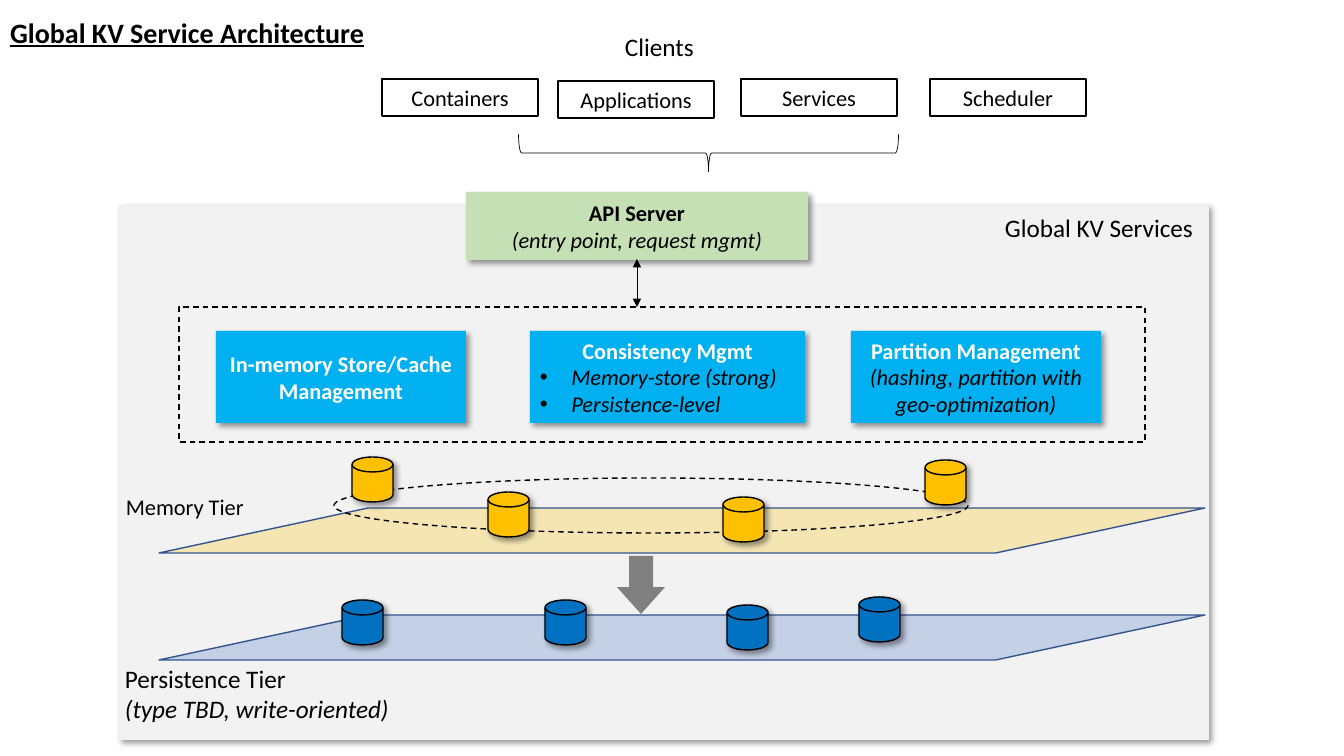
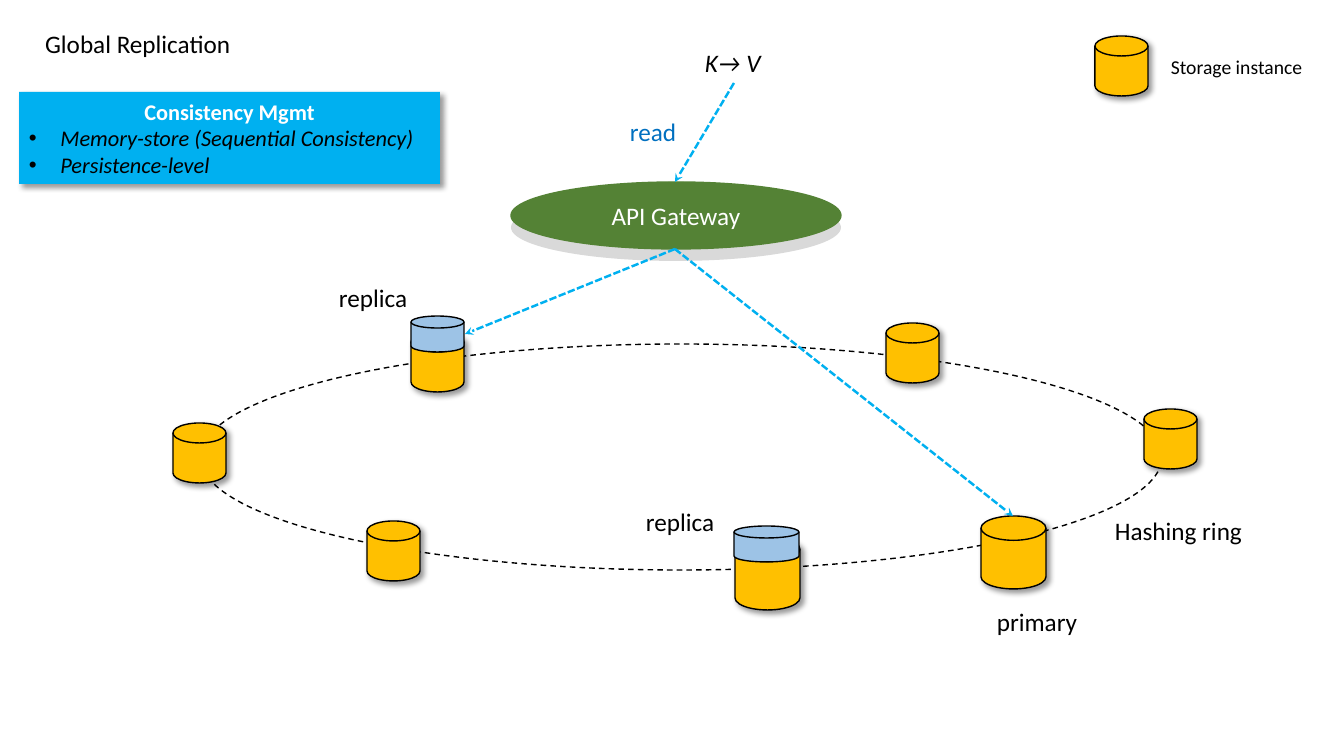
from pptx import Presentation
from pptx.dml.color import RGBColor as RGB
from pptx.enum.dml import MSO_LINE as Dash
from pptx.enum.shapes import MSO_CONNECTOR as Conn, MSO_SHAPE as Kind
from pptx.enum.text import MSO_ANCHOR as Anchor, MSO_AUTO_SIZE as Fit, PP_ALIGN as Align
from pptx.oxml.ns import qn
from pptx.util import Pt
from lxml.etree import SubElement as sub

# Shared look
UNIT = 914400 / 100.8
WIDE, HIGH = 1344, 756
FONT = "Calibri"
BLACK = RGB(0, 0, 0)
WHITE = RGB(255, 255, 255)
PALE = RGB(0xF2, 0xF2, 0xF2)
SILVER = RGB(0xD9, 0xD9, 0xD9)
GRAY = RGB(0x80, 0x80, 0x80)
MINT = RGB(0xC5, 0xE0, 0xB4)
GREEN = RGB(0x54, 0x82, 0x35)
SKY = RGB(0x00, 0xB0, 0xF0)
BLUE = RGB(0x00, 0x70, 0xC0)
LIGHT = RGB(0x9D, 0xC3, 0xE6)
GOLD = RGB(0xFF, 0xC0, 0x00)
ROYAL = RGB(0x44, 0x72, 0xC4)
NAVY = RGB(0x32, 0x54, 0x91)

# Text lines are (words, marks): b bold, i italic, u underlined, * bullet

# Architecture content
ARCH_TITLE = ("Global KV Service Architecture", "bu")
CLIENTS = [("Containers", 382, 79), ("Applications", 558, 81),
           ("Services", 741, 79), ("Scheduler", 930, 79)]
SERVER = [("API Server", "b"), ("(entry point, request mgmt)", "i")]
CARDS = [
    (216, 250, [("In-memory Store/Cache Management", "b")]),
    (530, 275, [("Consistency Mgmt", "b"), ("Memory-store (strong)", "i*"),
                ("Persistence-level", "i*")]),
    (851, 250, [("Partition Management", "b"),
                ("(hashing, partition with geo-optimization)", "i")]),
]
TIERS = [(615, ROYAL), (508, GOLD)]
MEMORY = [(352, 457), (488, 492), (925, 460), (723, 497)]
STORES = [(545, 600), (727, 605), (342, 600), (859, 597)]
ARCH_NOTES = [
    ((995, 207, 211, 40), [("Global KV Services", "")], 18),
    ((116, 488, 140, 37), [("Memory Tier", "")], 16),
    ((115, 658, 291, 72), [("Persistence Tier", ""),
                           ("(type TBD, write-oriented)", "i")], 18),
    ((615, 26, 96, 40), [("Clients", "")], 18),
]

# Replication content
REPL_TITLE = ("Global Replication", "")
POLICY = [("Consistency Mgmt", "b"),
          ("Memory-store (Sequential Consistency)", "i*"),
          ("Persistence-level", "i*")]
BIG, SMALL = (65, 73), (53, 60)
NODES = [(735, 537, BIG), (981, 516, BIG), (411, 332, SMALL),
         (886, 323, SMALL), (1095, 36, SMALL), (367, 521, SMALL),
         (173, 423, SMALL), (1144, 409, SMALL)]
COPIES = [(734, 526, 65, 36), (411, 316, 53, 36)]
GATE = (675, 249)
PATHS = [((734, 83), (675, 182)), (GATE, (1013, 516)), (GATE, (465, 334))]
REPL_NOTES = [
    ((1105, 510, 149, 40), "Hashing ring", "", 18, BLACK),
    ((695, 42, 79, 40), "K→ V", "i", 18, BLACK),
    ((620, 111, 68, 40), "read", "", 18, BLUE),
    ((1161, 50, 180, 40), "Storage instance", "", 14, BLACK),
    ((987, 601, 102, 40), "primary", "", 18, BLACK),
    ((636, 501, 90, 40), "replica", "", 18, BLACK),
    ((329, 277, 90, 40), "replica", "", 18, BLACK),
]


def px(*nums):
    return [round(n * UNIT) for n in nums]


def write(frame, lines, size, color=BLACK, head=None, align=Align.LEFT):
    """Fill a frame; bold lines take the head colour when one is given."""
    frame.text = "\n".join(words for words, _ in lines)
    for para, (_, marks) in zip(frame.paragraphs, lines):
        para.alignment = align
        if "*" in marks:
            para.alignment = Align.LEFT
            props = para._p.get_or_add_pPr()
            props.set("marL", "285750")
            props.set("indent", "-285750")
            sub(props, qn("a:buFont"), typeface="Arial")
            sub(props, qn("a:buChar"), char="•")
        for run in para.runs:
            font = run.font
            font.name, font.size = FONT, Pt(size)
            font.bold, font.italic = "b" in marks, "i" in marks
            font.underline = "u" in marks
            font.color.rgb = head if head and "b" in marks else color


def label(slide, box, lines, size, color=BLACK):
    frame = slide.shapes.add_textbox(*px(*box)).text_frame
    frame.word_wrap = False
    frame.auto_size = Fit.SHAPE_TO_FIT_TEXT
    write(frame, lines, size, color)


def start(deck, title, box, size):
    slide = deck.slides.add_slide(deck.slide_layouts[5])
    head = slide.shapes.title
    head.left, head.top, head.width, head.height = px(*box)
    frame = head.text_frame
    write(frame, [title], size)
    frame.vertical_anchor = Anchor.TOP
    frame.word_wrap = False
    frame.auto_size = Fit.SHAPE_TO_FIT_TEXT
    return slide


def draw(slide, kind, box, fill=None, line=None, width=1, dash=None, shade=False):
    shape = slide.shapes.add_shape(kind, *px(*box))
    shape.shadow.inherit = False
    if fill is None:
        shape.fill.background()
    else:
        shape.fill.solid()
        shape.fill.fore_color.rgb = fill
    if line is None:
        shape.line.fill.background()
    else:
        shape.line.color.rgb = line
        shape.line.width = Pt(width)
        if dash:
            shape.line.dash_style = dash
    if shade:
        effects = shape.element.spPr.find(qn("a:effectLst"))
        cast = sub(effects, qn("a:outerShdw"), blurRad="50800", dist="38100",
                   dir="2700000", algn="tl", rotWithShape="0")
        tint = sub(cast, qn("a:srgbClr"), val="000000")
        sub(tint, qn("a:alpha"), val="40000")
    return shape


def block(slide, box, lines, fill, color=BLACK, head=None, size=16,
          kind=Kind.RECTANGLE, **look):
    shape = draw(slide, kind, box, fill, **look)
    shape.text_frame.word_wrap = True
    shape.text_frame.vertical_anchor = Anchor.MIDDLE
    write(shape.text_frame, lines, size, color, head, Align.CENTER)


def disk(slide, box, fill, shade=True):
    draw(slide, Kind.FLOWCHART_MAGNETIC_DISK, box, fill, BLACK, shade=shade)


def arrow(slide, start, end, color, width, tail, head=None, dash=None):
    wire = slide.shapes.add_connector(Conn.STRAIGHT, *px(*start, *end))
    wire.line.color.rgb = color
    wire.line.width = Pt(width)
    if dash:
        wire.line.dash_style = dash
    props = wire.element.spPr
    edge = props.find(qn("a:ln"))
    if head:
        sub(edge, qn("a:headEnd"), type=head)
    sub(edge, qn("a:tailEnd"), type=tail)
    sub(props, qn("a:effectLst"))


deck = Presentation()
deck.slide_width, deck.slide_height = px(WIDE, HIGH)

# Architecture: clients and service panel
arch = start(deck, ARCH_TITLE, (0, 10, 378, 44), 20)
for name, x, y in CLIENTS:
    block(arch, (x, y, 156, 37), [(name, "")], WHITE, line=BLACK)
brace = draw(arch, Kind.RIGHT_BRACE, (690, -37, 37, 380), line=BLACK, width=0.5)
brace.rotation = 90
draw(arch, Kind.RECTANGLE, (119, 205, 1090, 535), PALE, shade=True)
block(arch, (466, 192, 342, 68), SERVER, MINT, shade=True)
for x, w, lines in CARDS:
    block(arch, (x, 331, w, 92), lines, SKY, head=WHITE, shade=True)

# Architecture: storage tiers
for y, fill in TIERS:
    plane = draw(arch, Kind.FLOWCHART_DATA, (159, y, 1046, 45), fill, NAVY)
    tint = plane.element.spPr.find(qn("a:solidFill")).find(qn("a:srgbClr"))
    sub(tint, qn("a:alpha"), val="26000")
draw(arch, Kind.OVAL, (334, 478, 634, 55), line=BLACK, dash=Dash.DASH)
flow = draw(arch, Kind.RIGHT_ARROW, (612, 561, 58, 48), GRAY)
flow.rotation = 90
flow.adjustments[1] = 0.56
for spots, fill in ((MEMORY, GOLD), (STORES, BLUE)):
    for x, y in spots:
        disk(arch, (x, y, 41, 45), fill)
draw(arch, Kind.RECTANGLE, (179, 307, 966, 135), line=BLACK, dash=Dash.DASH)
arrow(arch, (637, 259), (637, 307), BLACK, 0.5, "triangle", "triangle")
for box, lines, size in ARCH_NOTES:
    label(arch, box, lines, size)

# Replication: ring, gateway and read paths
repl = start(deck, REPL_TITLE, (35, 23, 208, 40), 18)
draw(repl, Kind.OVAL, (200, 344, 962, 226), line=BLACK, dash=Dash.DASH)
draw(repl, Kind.OVAL, (511, 194, 330, 67), SILVER)
block(repl, (511, 182, 330, 67), [("API Gateway", "")], GREEN, WHITE,
      size=18, kind=Kind.OVAL, line=GREEN)
for x, y, size in NODES:
    disk(repl, (x, y, *size), GOLD)
for box in COPIES:
    disk(repl, box, LIGHT, shade=False)
for tip, end in PATHS:
    arrow(repl, tip, end, SKY, 1.75, "stealth", dash=Dash.SQUARE_DOT)

# Replication: labels and policy
for box, words, marks, size, color in REPL_NOTES:
    label(repl, box, [(words, marks)], size, color)
block(repl, (19, 92, 421, 92), POLICY, SKY, head=WHITE, shade=True)

deck.save("out.pptx")
